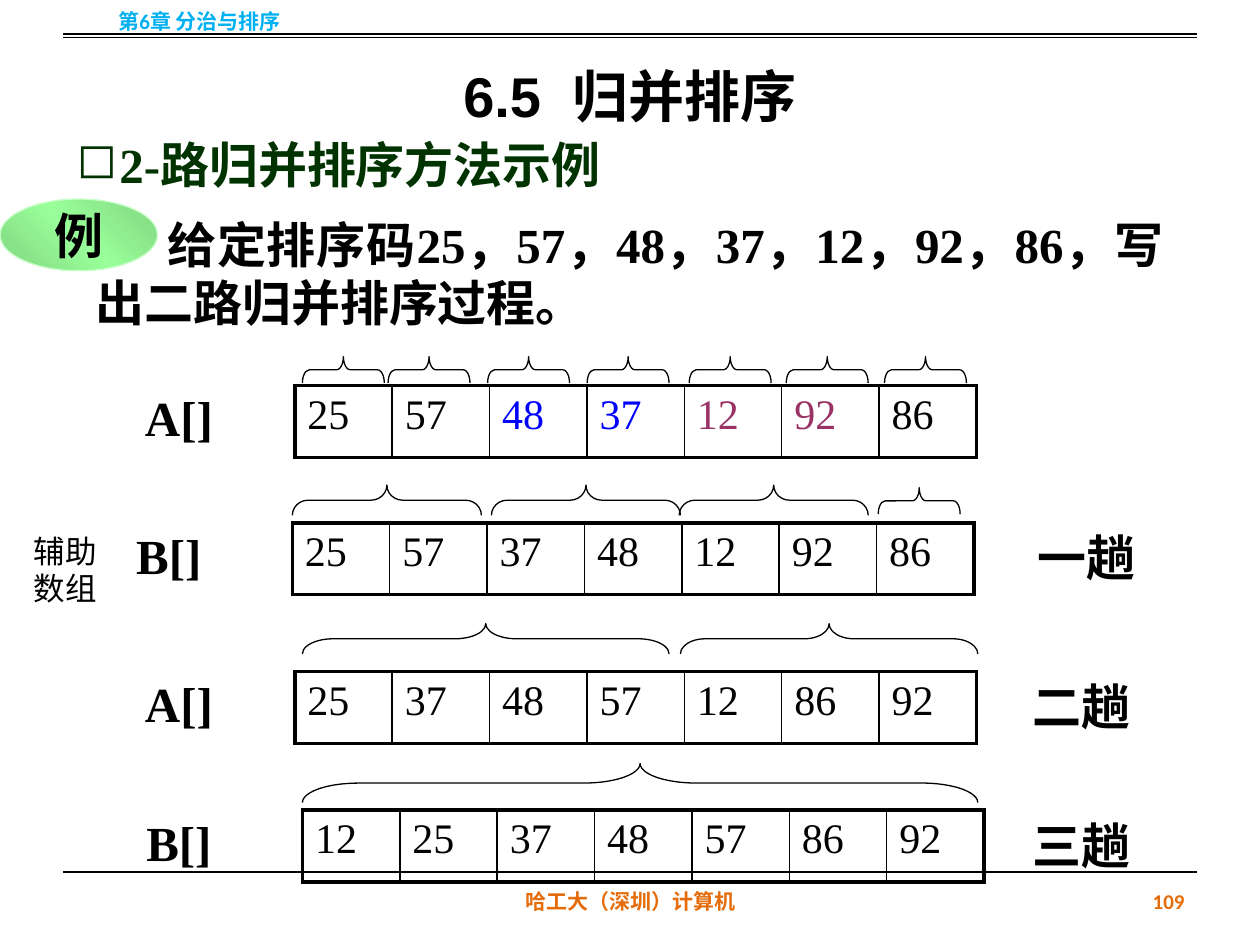
from copy import deepcopy
from dataclasses import dataclass

from lxml import etree
from pptx import Presentation
from pptx import util as u
from pptx.dml.color import RGBColor
from pptx.enum import shapes, text
from pptx.oxml.ns import qn


@dataclass(frozen=True)
class Theme:
    black: str = "000000"
    blue: str = "0000FF"
    plum: str = "993366"
    green: str = "003300"
    header: str = "00B0F0"
    footer: str = "E46C0A"
    badge_edge: str = "80D580"
    badge_middle: str = "99FF99"
    badge_line: str = "CCFFCC"
    serif: str = "Times New Roman"
    sans: str = "Calibri"
    heading: str = "Arial"
    title_size: int = 32
    body_size: int = 28
    cell_size: int = 24
    note_size: int = 18
    small_size: int = 12
    thin: float = 0.75
    inner: float = 1
    outer: float = 2.25


ALIGN = text.PP_ALIGN
MIDDLE = text.MSO_ANCHOR.MIDDLE
CELL_WIDTH = 5.41 / 7
ROW_HEIGHT = 0.57


class Painter:
    """Draws styled elements on the current slide."""

    def __init__(self, page, theme):
        self.page = page
        self.theme = theme

    def style(self, paragraph, size, color=None, font=None, bold=True, align=ALIGN.CENTER):
        paragraph.alignment = align
        paragraph.font.size = u.Pt(size)
        paragraph.font.bold = bold
        paragraph.font.name = font or self.theme.serif
        paragraph.font.color.rgb = RGBColor.from_string(color or self.theme.black)

    def textbox(self, words, left, top, width, height, size,
                anchor=text.MSO_ANCHOR.TOP, wrap=True, indent=0, bullet=None, **look):
        box = self.page.shapes.add_textbox(*map(u.Inches, (left, top, width, height)))
        frame = box.text_frame
        frame.word_wrap = wrap
        frame.vertical_anchor = anchor
        para = frame.paragraphs[0]
        para.text = words
        properties = para._p.get_or_add_pPr()
        if indent:
            properties.set("indent", str(u.Inches(indent)))
        if bullet:
            properties.set("marL", str(u.Inches(-indent)))
            etree.SubElement(properties, qn("a:buChar")).set("char", bullet)
        self.style(para, size, **look)
        return para

    def rule(self, top):
        line = self.page.shapes.add_connector(
            shapes.MSO_CONNECTOR.STRAIGHT, *map(u.Inches, (0.5, top, 9.5, top)))
        self.outline(line, self.theme.black)
        etree.SubElement(line._element.spPr, qn("a:effectLst"))

    def outline(self, shape, color):
        shape.line.width = u.Pt(self.theme.thin)
        shape.line.color.rgb = RGBColor.from_string(color)

    def brace(self, left, top, length, height):
        frame = (left + (length - height) / 2, top + (height - length) / 2, height, length)
        shape = self.page.shapes.add_shape(
            shapes.MSO_SHAPE.LEFT_BRACE, *map(u.Inches, frame))
        shape.rotation = 90
        shape.adjustments[0] = length / height / 12
        shape.shadow.inherit = False
        shape.fill.background()
        self.outline(shape, self.theme.black)

    def badge(self, words, left, top, width, height):
        shape = self.page.shapes.add_shape(
            shapes.MSO_SHAPE.OVAL, *map(u.Inches, (left, top, width, height)))
        shape.shadow.inherit = False
        self.outline(shape, self.theme.badge_line)
        shape.fill.gradient()
        shape.fill.gradient_angle = 45
        stops = shape._element.spPr.find(".//" + qn("a:gsLst"))
        stops.insert(1, deepcopy(stops[0]))
        edge, middle = self.theme.badge_edge, self.theme.badge_middle
        for stop, place, color in zip(shape.fill.gradient_stops, (0, 0.5, 1), (edge, middle, edge)):
            stop.position = place
            stop.color.rgb = RGBColor.from_string(color)
        frame = shape.text_frame
        frame.word_wrap = False
        frame.vertical_anchor = MIDDLE
        frame.text = words
        self.style(frame.paragraphs[0], self.theme.body_size)

    def border(self, cell, side, width):
        line = etree.SubElement(cell._tc.get_or_add_tcPr(), qn("a:ln" + side))
        line.set("w", str(u.Pt(width)))
        fill = etree.SubElement(line, qn("a:solidFill"))
        etree.SubElement(fill, qn("a:srgbClr")).set("val", self.theme.black)

    def array(self, values, left, top, colors):
        count = len(values)
        table = self.page.shapes.add_table(
            1, count, *map(u.Inches, (left, top, CELL_WIDTH * count, ROW_HEIGHT))).table
        table.first_row = table.horz_banding = False
        outer, inner = self.theme.outer, self.theme.inner
        for index, value in enumerate(values):
            table.columns[index].width = u.Inches(CELL_WIDTH)
            cell = table.cell(0, index)
            self.border(cell, "L", inner if index else outer)
            self.border(cell, "R", inner if index < count - 1 else outer)
            self.border(cell, "T", outer)
            self.border(cell, "B", outer)
            cell.fill.background()
            cell.text = str(value)
            self.style(cell.text_frame.paragraphs[0], self.theme.cell_size,
                       color=colors.get(value), bold=False, align=ALIGN.LEFT)

    def label(self, words, center, top, width, wrap):
        self.textbox(words, center - width / 2, top, width, ROW_HEIGHT,
                     self.theme.body_size, wrap=wrap)


def main():
    theme = Theme()
    deck = Presentation()
    deck.slide_width, deck.slide_height = u.Inches(10), u.Inches(7.5)
    painter = Painter(deck.slides.add_slide(deck.slide_layouts[6]), theme)

    title = painter.textbox("6.5  归并排序", 0.5, 0, 9, 1.25, theme.title_size,
                            anchor=MIDDLE, font=theme.heading)
    title.line_spacing = 1.5
    small = dict(size=theme.small_size, anchor=MIDDLE, font=theme.sans)
    painter.textbox("第6章 分治与排序", 0, -0.03, 3.17, 0.4, color=theme.header, **small)
    painter.textbox("哈工大（深圳）计算机", 3.42, 6.95, 3.17, 0.4, color=theme.footer, **small)
    painter.textbox("109", 7.17, 6.95, 2.33, 0.4, color=theme.footer, align=ALIGN.RIGHT, **small)
    for top in (0.27, 0.3, 6.92):
        painter.rule(top)

    painter.textbox("2-路归并排序方法示例", 0.51, 1.02, 4.86, 0.57, theme.body_size,
                    indent=-0.34, bullet="◻", color=theme.green, align=ALIGN.LEFT)
    painter.textbox("给定排序码25，57，48，37，12，92，86，写出二路归并排序过程。",
                    0.66, 1.65, 8.67, 1.03, theme.body_size, indent=0.57, align=ALIGN.JUSTIFY)
    painter.badge("例", 0, 1.58, 1.25, 0.57)
    painter.textbox("辅助数组", 0.17, 4.17, 0.72, 0.71, theme.note_size,
                    font=theme.sans, bold=False, align=ALIGN.LEFT)

    pair_colors = {48: theme.blue, 37: theme.blue, 12: theme.plum, 92: theme.plum}
    stages = [
        ("A[]", 1.42, 2.34, 3.06, (25, 57, 48, 37, 12, 92, 86), pair_colors, None),
        ("B[]", 1.34, 2.32, 4.15, (25, 57, 37, 48, 12, 92, 86), {}, ("一趟", 8.62)),
        ("A[]", 1.42, 2.34, 5.33, (25, 37, 48, 57, 12, 86, 92), {}, ("二趟", 8.58)),
        ("B[]", 1.42, 2.4, 6.43, (12, 25, 37, 48, 57, 86, 92), {}, ("三趟", 8.58)),
    ]
    for name, center, left, top, values, colors, merge_pass in stages:
        painter.array(values, left, top, colors)
        painter.label(name, center, top - 0.03, 0.74, wrap=False)
        if merge_pass:
            painter.label(*merge_pass, top - 0.01, 1.2, wrap=True)

    brace_rows = [
        (2.83, 0.21, 0.65, (2.4, 3.08, 3.87, 4.66, 5.47, 6.24, 7.02)),
        (3.85, 0.24, 1.5, (2.32, 3.9, 5.39)),
        (3.87, 0.21, 0.65, (6.97,)),
        (4.95, 0.24, 2.91, (2.4,)),
        (4.95, 0.24, 2.36, (5.4,)),
        (6.06, 0.31, 5.36, (2.4,)),
    ]
    for top, height, length, lefts in brace_rows:
        for left in lefts:
            painter.brace(left, top, length, height)

    deck.save("out.pptx")


if __name__ == "__main__":
    main()
